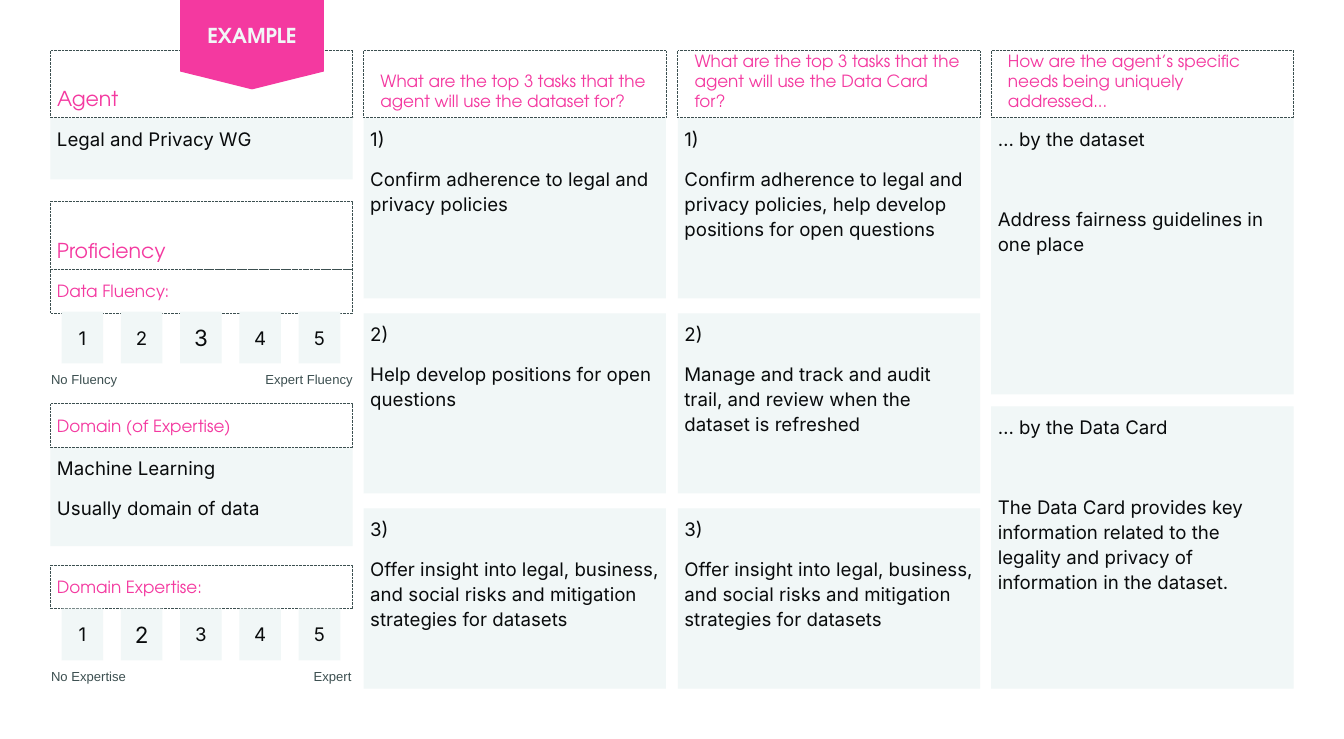
from dataclasses import dataclass

from pptx import Presentation
from pptx.dml.color import RGBColor
from pptx.enum.dml import MSO_LINE
from pptx.enum.shapes import MSO_SHAPE
from pptx.enum.text import MSO_ANCHOR, MSO_AUTO_SIZE, PP_ALIGN
from pptx.util import Pt

RECT, FLAG = MSO_SHAPE.RECTANGLE, MSO_SHAPE.FLOWCHART_OFFPAGE_CONNECTOR
TOP, MID, LOW = MSO_ANCHOR.TOP, MSO_ANCHOR.MIDDLE, MSO_ANCHOR.BOTTOM
LEFT, MIDST, RIGHT = PP_ALIGN.LEFT, PP_ALIGN.CENTER, PP_ALIGN.RIGHT
DOTS, FIXED = MSO_LINE.ROUND_DOT, MSO_AUTO_SIZE.NONE
PINK = RGBColor(0xF4, 0x39, 0xA0)
PALE = RGBColor(0xF1, 0xF7, 0xF7)
INK = RGBColor(0x09, 0x0B, 0x0C)
SLATE = RGBColor(0x3C, 0x4F, 0x50)
DISPLAY = "TeX Gyre Adventor"


@dataclass(frozen=True)
class Look:
    size: float
    color: RGBColor
    face: str = "Inter"
    bold: bool = False
    anchor: MSO_ANCHOR = MID
    align: PP_ALIGN = LEFT
    side: float = 7.2
    pitch: float = 1.0
    fill: RGBColor | None = None
    dotted: bool = False


@dataclass(frozen=True)
class Box:
    x: float
    y: float
    w: float
    h: float
    lines: tuple[str, ...]
    look: Look
    gap: float = 16


@dataclass(frozen=True)
class Scale:
    y: float
    pick: int
    low: str
    high: str
    end: float


HEAD = Look(22, PINK, DISPLAY, anchor=LOW, dotted=True)
ASK = Look(18, PINK, DISPLAY, anchor=LOW, side=18, dotted=True)
SUB = Look(18, PINK, DISPLAY, dotted=True)
BODY = Look(20, INK, anchor=TOP, pitch=1.12, fill=PALE)
TILE = Look(20, INK, align=MIDST, fill=PALE)
BIG = Look(24, INK, align=MIDST, fill=PALE)
NOTE = Look(14, SLATE, "Arial", side=0)
NOTE_END = Look(14, SLATE, "Arial", align=RIGHT, side=0)
BADGE = Look(22, PALE, DISPLAY, bold=True, align=MIDST, fill=PINK)

# Column grid
COLS = (54, 389.6, 726.2, 1062)
WIDE = 324
HEAD_Y, HEAD_H = 54, 72
CELL_Y, CELL_H, STEP = 126.7, 193, 209.1
SUB_H = 46.8
WIDE_GAP = 59

RISKS = ("Offer insight into legal, business, and social risks "
         "and mitigation strategies for datasets")
ASKS = (
    "What are the top 3 tasks that the agent will use the dataset for?",
    "What are the top 3 tasks that the agent will use the Data Card for?",
    "How are the agent’s specific needs being uniquely addressed...",
)
TASKS = (
    ("Confirm adherence to legal and privacy policies",
     "Help develop positions for open questions", RISKS),
    ("Confirm adherence to legal and privacy policies, help develop "
     "positions for open questions",
     "Manage and track and audit trail, and review when the dataset "
     "is refreshed", RISKS),
)
PANELS = (
    Box(COLS[0], CELL_Y, WIDE, 65.5, ("Legal and Privacy WG",), BODY),
    Box(COLS[0], 479.5, WIDE, 105.8,
        ("Machine Learning", "Usually domain of data"), BODY),
    Box(COLS[3], CELL_Y, WIDE, 296,
        ("… by the dataset", "Address fairness guidelines in one place"),
        BODY, WIDE_GAP),
    Box(COLS[3], 435.6, WIDE, 302.4,
        ("… by the Data Card",
         "The Data Card provides key information related to the legality "
         "and privacy of information in the dataset."), BODY, WIDE_GAP),
    Box(COLS[0], 215.3, WIDE, 73.4, ("Proficiency",), HEAD),
    Box(COLS[0], 288.7, WIDE, SUB_H, ("Data Fluency:",), SUB),
    Box(COLS[0], 432.7, WIDE, SUB_H, ("Domain (of Expertise)",), SUB),
    Box(COLS[0], 605.5, WIDE, SUB_H, ("Domain Expertise:",), SUB),
)
SCALES = (
    Scale(334.1, 3, "No Fluency", "Expert Fluency", 378),
    Scale(652.3, 2, "No Expertise", "Expert", 376.6),
)


def assign(item, values: dict) -> None:
    for name, value in values.items():
        setattr(item, name, value)


def style(shape, box: Box) -> None:
    """Place a shape and give it the fill, line and text of its box."""
    look = box.look
    assign(shape, {"left": Pt(box.x), "top": Pt(box.y),
                   "width": Pt(box.w), "height": Pt(box.h)})
    if look.fill is None:
        shape.fill.background()
    else:
        shape.fill.solid()
        shape.fill.fore_color.rgb = look.fill
    if look.dotted:
        shape.line.color.rgb = SLATE
        assign(shape.line, {"width": Pt(0.75), "dash_style": DOTS})
    else:
        shape.line.fill.background()
    frame = shape.text_frame
    assign(frame, {"margin_left": Pt(look.side), "margin_right": Pt(look.side),
                   "margin_top": Pt(7.2), "margin_bottom": Pt(7.2),
                   "vertical_anchor": look.anchor, "word_wrap": True,
                   "auto_size": FIXED})
    for i, line in enumerate(box.lines):
        para = frame.add_paragraph() if i else frame.paragraphs[0]
        para.text = line
        assign(para, {"alignment": look.align, "line_spacing": look.pitch,
                      "space_before": Pt(box.gap if i else 0)})
        assign(para.font, {"size": Pt(look.size), "name": look.face,
                           "bold": look.bold})
        para.font.color.rgb = look.color


def draw(slide, box: Box, kind: MSO_SHAPE = RECT) -> None:
    shape = slide.shapes.add_shape(kind, 0, 0, 0, 0)
    shape.shadow.inherit = False
    style(shape, box)


def note(slide, box: Box) -> None:
    style(slide.shapes.add_textbox(0, 0, 0, 0), box)


def rate(slide, scale: Scale) -> None:
    """Draw five score tiles with a caption at each end."""
    for i in range(5):
        look = BIG if i + 1 == scale.pick else TILE
        draw(slide, Box(66 + 63.5 * i, scale.y, 44.6, 55.4,
                        (str(i + 1),), look))
    y = scale.y + 54.7
    note(slide, Box(54.7, y, 154, 35.3, (scale.low,), NOTE))
    note(slide, Box(scale.end - 154, y, 154, 35.3, (scale.high,), NOTE_END))


def main() -> None:
    deck = Presentation()
    assign(deck, {"slide_width": Pt(1440), "slide_height": Pt(792)})
    slide = deck.slides.add_slide(deck.slide_layouts[5])

    # Title and left column
    style(slide.shapes.title,
          Box(COLS[0], HEAD_Y, WIDE, HEAD_H, ("Agent",), HEAD))
    for panel in PANELS:
        draw(slide, panel)
    for scale in SCALES:
        rate(slide, scale)

    # Task grid
    for x, tasks in zip(COLS[1:], TASKS):
        for i, task in enumerate(tasks):
            draw(slide, Box(x, CELL_Y + STEP * i, WIDE, CELL_H,
                            (f"{i + 1})", task), BODY))

    # Questions and badge
    for x, ask in zip(COLS[1:], ASKS):
        draw(slide, Box(x, HEAD_Y, WIDE, HEAD_H, (ask,), ASK))
    draw(slide, Box(193, 0, 154, 95.8, ("EXAMPLE",), BADGE), FLAG)

    deck.save("out.pptx")


if __name__ == "__main__":
    main()
